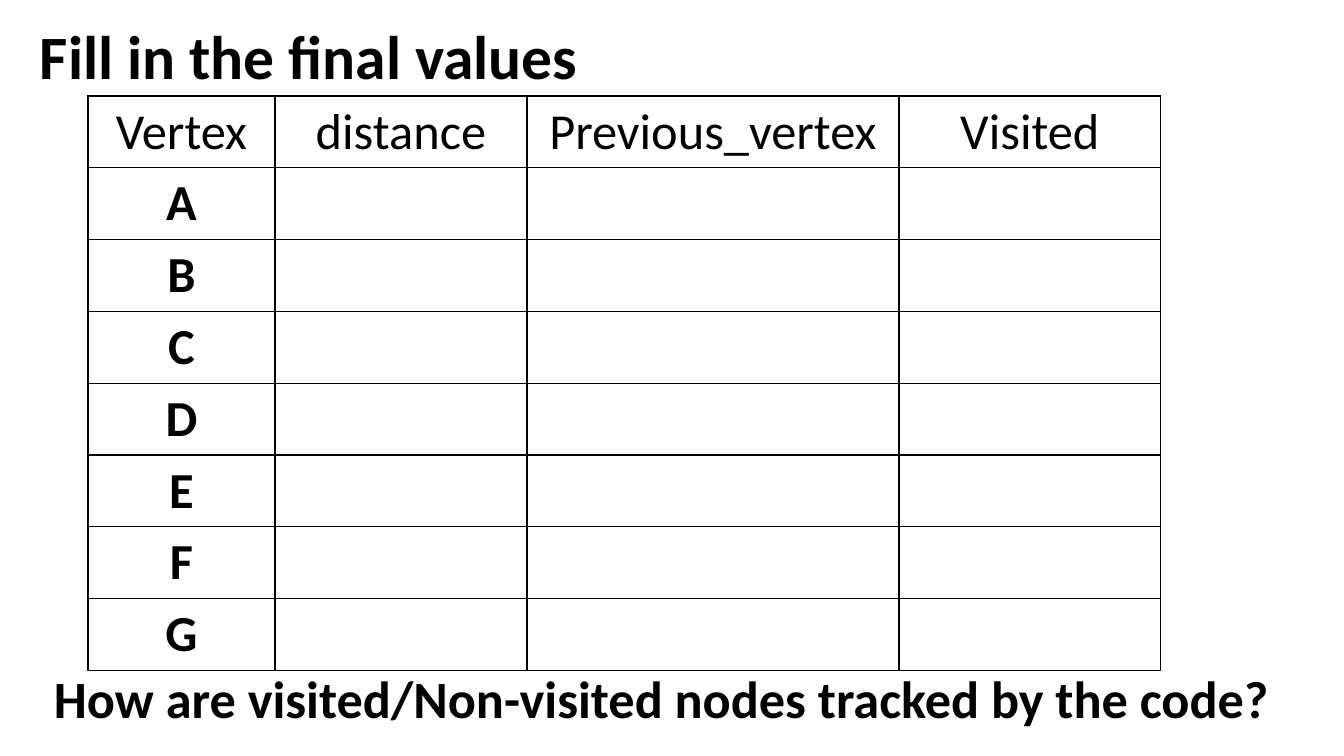
"""Build the slide with a blank vertex table to fill in."""
from dataclasses import dataclass

from lxml.etree import SubElement
from pptx import Presentation
from pptx.dml.color import RGBColor
from pptx.enum.text import MSO_ANCHOR, PP_ALIGN
from pptx.oxml.ns import qn
from pptx.util import Emu, Pt


@dataclass(frozen=True)
class Theme:
    font: str = "Calibri"
    ink: str = "000000"
    paper: str = "FFFFFF"
    title_size: float = 44
    table_size: float = 36
    question_size: float = 37.4
    border_width: float = 1


THEME = Theme()
EMU_PER_PX = 914400 / 100.8


def px(length):
    return Emu(round(length * EMU_PER_PX))


def write(text_frame, text, size, bold):
    text_frame.text = text
    paragraph = text_frame.paragraphs[0]
    for run in paragraph.runs:
        run.font.name = THEME.font
        run.font.size = Pt(size)
        run.font.bold = bold
        run.font.color.rgb = RGBColor.from_string(THEME.ink)
    return paragraph


presentation = Presentation()
presentation.slide_width = px(1344)
presentation.slide_height = px(756)
slide = presentation.slides.add_slide(presentation.slide_layouts[6])
slide.background.fill.solid()
slide.background.fill.fore_color.rgb = RGBColor.from_string(THEME.paper)

headers = ["Vertex", "distance", "Previous_vertex", "Visited"]
column_widths = [187, 252, 372, 262]
rows = [headers] + [[vertex, "", "", ""] for vertex in "ABCDEFG"]
row_height = 71

table = slide.shapes.add_table(
    len(rows), len(headers), px(88), px(96),
    px(sum(column_widths)), px(row_height * len(rows)),
).table
table.first_row = False
table.horz_banding = False
for column, width in zip(table.columns, column_widths):
    column.width = px(width)

for row_index, row in enumerate(rows):
    table.rows[row_index].height = px(row_height)
    for column_index, text in enumerate(row):
        cell = table.cell(row_index, column_index)
        paragraph = write(cell.text_frame, text, THEME.table_size, row_index > 0)
        paragraph.alignment = PP_ALIGN.CENTER
        properties = cell._tc.get_or_add_tcPr()
        for side in ("a:lnL", "a:lnR", "a:lnT", "a:lnB"):
            border = SubElement(properties, qn(side), w=str(Pt(THEME.border_width)))
            border_fill = SubElement(border, qn("a:solidFill"))
            SubElement(border_fill, qn("a:srgbClr"), val=THEME.ink)
        cell.fill.background()

captions = [
    ("Fill in the final values", (30, 7, 1159, 106), THEME.title_size, 0.9),
    ("How are visited/Non-visited nodes tracked by the code?",
     (44, 650, 1257, 106), THEME.question_size, 0.8),
]
for text, bounds, size, line_spacing in captions:
    text_frame = slide.shapes.add_textbox(*map(px, bounds)).text_frame
    text_frame.word_wrap = True
    text_frame.vertical_anchor = MSO_ANCHOR.MIDDLE
    write(text_frame, text, size, True).line_spacing = line_spacing

presentation.save("out.pptx")
